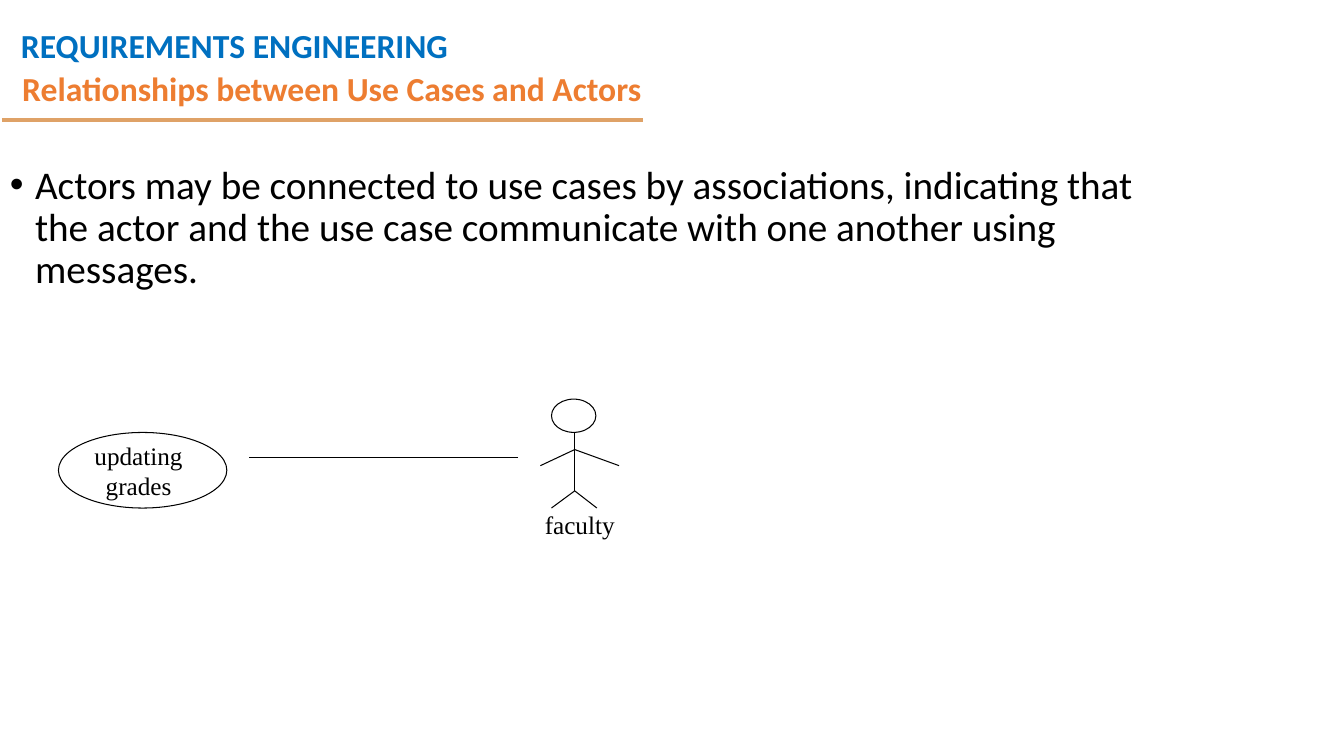
from pptx import Presentation
from pptx.dml.color import RGBColor
from pptx.enum.shapes import MSO_CONNECTOR, MSO_SHAPE
from pptx.enum.text import MSO_ANCHOR, PP_ALIGN
from pptx.util import Inches, Pt
from lxml import etree

LINE = MSO_CONNECTOR.STRAIGHT
OVAL = MSO_SHAPE.OVAL
MIDDLE = MSO_ANCHOR.MIDDLE
LEFT, CENTER = PP_ALIGN.LEFT, PP_ALIGN.CENTER
NS = "{http://schemas.openxmlformats.org/drawingml/2006/main}"
BLACK = "000000"

deck = Presentation()
deck.slide_width, deck.slide_height = Inches(13.33), Inches(7.5)
slide = deck.slides.add_slide(deck.slide_layouts[5])
shapes = slide.shapes


def write(box, text, size, font, color, bold=False, align=LEFT, space=1.0):
    frame = box.text_frame
    frame.word_wrap = True
    frame.text = text
    for para in frame.paragraphs:
        para.alignment = align
        para.line_spacing = space
        para.space_before = Pt(0)
        for run in para.runs:
            run.font.size = Pt(size)
            run.font.name = font
            run.font.bold = bold
            run.font.color.rgb = RGBColor.from_string(color)


def join(x1, y1, x2, y2, color=BLACK, width=0.75):
    line = shapes.add_connector(LINE, Inches(x1), Inches(y1), Inches(x2), Inches(y2))
    line.line.color.rgb = RGBColor.from_string(color)
    line.line.width = Pt(width)
    etree.SubElement(line._element.spPr, NS + "effectLst")


# Heading, rule and title
head = shapes.add_textbox(Inches(0.11), Inches(0), Inches(4.61), Inches(0.64))
write(head, "REQUIREMENTS ENGINEERING", 24, "Calibri", "0070C0", True, space=1.5)
join(0.02, 1.19, 6.38, 1.19, "DFA267", 3)

title = shapes.title
title.left, title.top = Inches(0.12), Inches(0.46)
title.width, title.height = Inches(9.58), Inches(0.88)
write(title, "Relationships between Use Cases and Actors", 24, "Calibri", "ED7D31",
      True, space=0.9)
title.text_frame.vertical_anchor = MIDDLE

# Bulleted statement
body = shapes.add_textbox(Inches(0), Inches(1.59), Inches(11.5), Inches(4.76))
write(body, "Actors may be connected to use cases by associations, indicating that "
      "the actor and the use case communicate with one another using messages.",
      28, "Calibri", BLACK, space=0.9)
props = body.text_frame.paragraphs[0]._p.get_or_add_pPr()
props.set("marL", str(Inches(0.25)))
props.set("indent", str(Inches(-0.25)))
etree.SubElement(props, NS + "buFont", typeface="Arial")
etree.SubElement(props, NS + "buChar", char="•")

# Use case ellipse and actor's head
for x, y, w, h in [(0.58, 4.29, 1.67, 0.75), (5.47, 3.96, 0.44, 0.33)]:
    oval = shapes.add_shape(OVAL, Inches(x), Inches(y), Inches(w), Inches(h))
    oval.shadow.inherit = False
    oval.fill.background()
    oval.line.color.rgb = RGBColor.from_string(BLACK)
    oval.line.width = Pt(0.75)

# Actor's trunk, arms and legs
mid, neck, arm, hip = 5.7, 4.29, 4.46, 4.87
join(mid, neck, mid, hip)
for start, x, y in [(arm, 6.14, 4.62), (arm, 5.36, 4.62),
                    (hip, 5.92, 5.04), (hip, 5.47, 5.04)]:
    join(mid, start, x, y)

# Association
join(5.14, 4.54, 2.47, 4.54)

# Diagram labels
for text, x, y, w, h in [("updating\ngrades", 0.61, 4.32, 1.53, 0.7),
                         ("faculty", 5.14, 5, 1.22, 0.4)]:
    label = shapes.add_textbox(Inches(x), Inches(y), Inches(w), Inches(h))
    write(label, text, 18, "Times New Roman", BLACK, align=CENTER)

deck.save("out.pptx")
